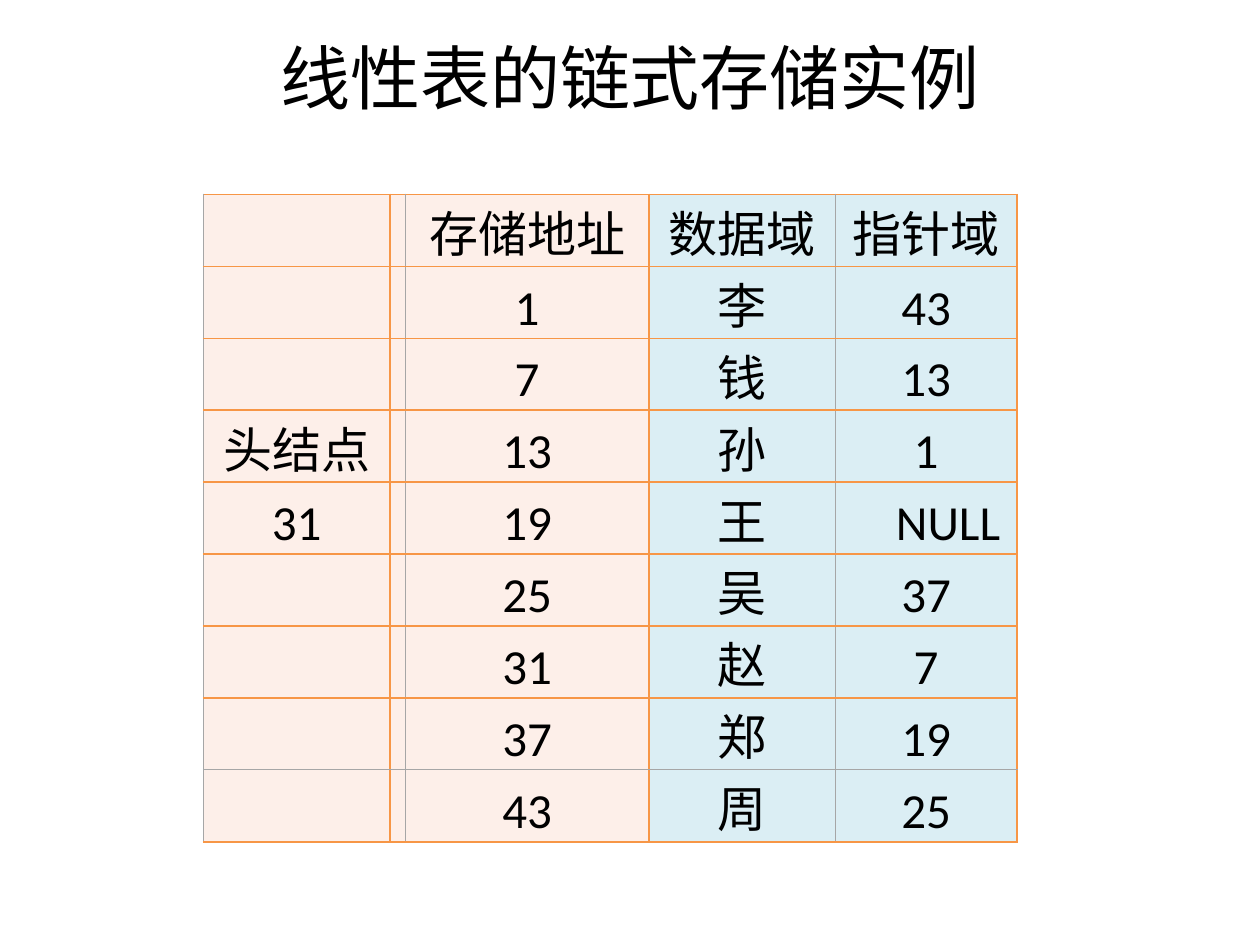
from lxml import etree
from pptx import Presentation
from pptx.dml.color import RGBColor
from pptx.enum.text import MSO_ANCHOR, PP_ALIGN
from pptx.oxml.ns import qn
from pptx.util import Cm, Pt

CENTER = PP_ALIGN.CENTER
MIDDLE, BOTTOM = MSO_ANCHOR.MIDDLE, MSO_ANCHOR.BOTTOM

THEME = {
    "font": "Calibri",
    "title_size": 40,
    "cell_size": 28,
    "text": "000000",
    "address_fill": "FDEFE9",
    "node_fill": "DBEEF4",
    "border": "F79646",
    "thin_border": "A6A6A6",
}

TITLE = "线性表的链式存储实例"
ROWS = [
    ("", "", "存储地址", "数据域", "指针域"),
    ("", "", "1", "李", "43"),
    ("", "", "7", "钱", "13"),
    ("头结点", "", "13", "孙", "1"),
    ("31", "", "19", "王", "NULL"),
    ("", "", "25", "吴", "37"),
    ("", "", "31", "赵", "7"),
    ("", "", "37", "郑", "19"),
    ("", "", "43", "周", "25"),
]
COL_WIDTHS = [3.76, 0.31, 4.91, 3.76, 3.66]
ROW_HEIGHT = 1.45
FIRST_NODE_COL = 3
THIN_COL_EDGES = {0, 2, 4}
THIN_ROW_EDGES = {8}
NULL_INDENT = 0.9


def style_text(tf, size):
    p = tf.paragraphs[0]
    p.alignment = CENTER
    for r in p.runs:
        r.font.size = Pt(size)
        r.font.name = THEME["font"]
        r.font.color.rgb = RGBColor.from_string(THEME["text"])


def add_border(cell, side, thin):
    color, width = ("thin_border", 0.5) if thin else ("border", 1)
    tc_pr = cell._tc.get_or_add_tcPr()
    ln = etree.SubElement(tc_pr, qn(f"a:ln{side}"), w=str(Pt(width)))
    fill = etree.SubElement(ln, qn("a:solidFill"))
    etree.SubElement(fill, qn("a:srgbClr"), val=THEME[color])


def add_title(s):
    sp = s.shapes.add_textbox(Cm(1.27), Cm(0.15), Cm(22.86), Cm(2.77))
    tf = sp.text_frame
    tf.word_wrap = True
    tf.vertical_anchor = MIDDLE
    tf.text = TITLE
    style_text(tf, THEME["title_size"])


def fill_cell(cell, row, col, text):
    cell.text = text
    style_text(cell.text_frame, THEME["cell_size"])
    cell.vertical_anchor = BOTTOM
    cell.margin_left = Cm(NULL_INDENT if text == "NULL" else 0.02)
    cell.margin_right = cell.margin_top = Cm(0.02)
    cell.margin_bottom = Cm(0)
    for side, edge in (("L", col), ("R", col + 1)):
        add_border(cell, side, edge in THIN_COL_EDGES)
    for side, edge in (("T", row), ("B", row + 1)):
        add_border(cell, side, edge in THIN_ROW_EDGES)
    cell.fill.solid()
    fill = "node_fill" if col >= FIRST_NODE_COL else "address_fill"
    cell.fill.fore_color.rgb = RGBColor.from_string(THEME[fill])


def add_storage_table(s):
    table = s.shapes.add_table(
        len(ROWS), len(COL_WIDTHS), Cm(4.1), Cm(3.92),
        Cm(sum(COL_WIDTHS)), Cm(ROW_HEIGHT * len(ROWS)),
    ).table
    table.first_row = table.horz_banding = False
    for column, width in zip(table.columns, COL_WIDTHS):
        column.width = Cm(width)
    for i, values in enumerate(ROWS):
        table.rows[i].height = Cm(ROW_HEIGHT)
        for j, text in enumerate(values):
            fill_cell(table.cell(i, j), i, j, text)


def main():
    prs = Presentation()
    prs.slide_width, prs.slide_height = Cm(25.4), Cm(19.05)
    s = prs.slides.add_slide(prs.slide_layouts[6])
    add_title(s)
    add_storage_table(s)
    prs.save("out.pptx")


if __name__ == "__main__":
    main()
